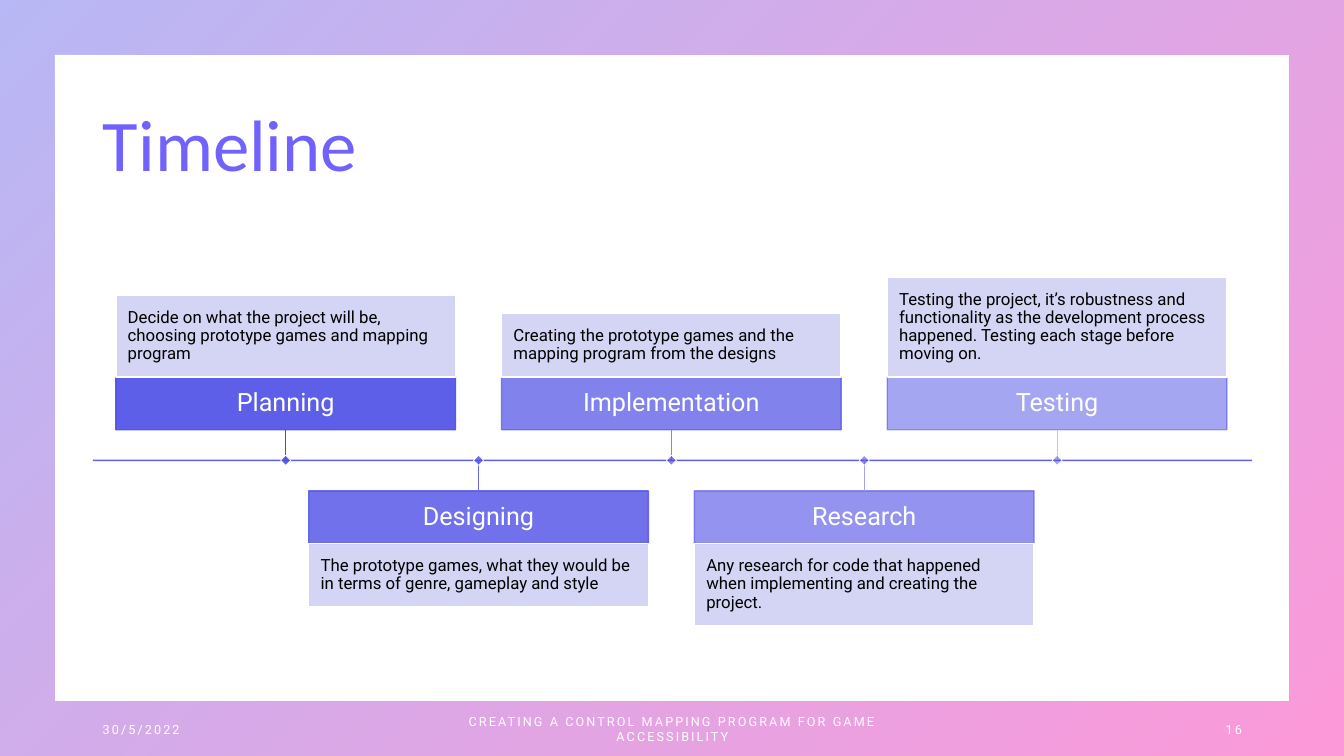
"""Build the project timeline page with five alternating phases."""
from dataclasses import dataclass

from lxml import etree
from pptx import Presentation
from pptx.dml.color import RGBColor
from pptx.enum import shapes, text
from pptx.oxml import ns
from pptx.util import Cm, Pt


@dataclass(frozen=True)
class Theme:
    """Colours, fonts and type sizes of the page."""
    indigo: str = "4D4EE6"
    pink: str = "F900A0"
    violet: str = "7162FE"
    lavender: str = "D0D0F5"
    white: str = "FFFFFF"
    black: str = "000000"
    heading_font: str = "Calibri"
    body_font: str = "Roboto"
    title_size: float = 52
    phase_size: float = 18
    detail_size: float = 12
    footer_size: float = 9


@dataclass(frozen=True)
class Phase:
    """One phase of the timeline."""
    name: str
    detail: str
    lines: int
    stem: str


THEME = Theme()
PHASES = [
    Phase("Planning", "Decide on what the project will be, choosing prototype "
          "games and mapping program", 3, "4A4BDC"),
    Phase("Designing", "The prototype games, what they would be in terms of "
          "genre, gameplay and style", 2, "6868E2"),
    Phase("Implementation", "Creating the prototype games and the mapping "
          "program from the designs", 2, "8686E7"),
    Phase("Research", "Any research for code that happened when implementing "
          "and creating the project.", 3, "A4A4ED"),
    Phase("Testing", "Testing the project, it’s robustness and functionality "
          "as the development process happened. Testing each stage before "
          "moving on.", 4, "C2C2F3"),
]
FOOTERS = [
    (2.34, 7.62, "30/5/2022", text.PP_ALIGN.LEFT),
    (11.23, 11.43, "CREATING A CONTROL MAPPING PROGRAM FOR GAME ACCESSIBILITY",
     text.PP_ALIGN.CENTER),
    (23.93, 7.62, "16", text.PP_ALIGN.RIGHT),
]
AXIS_LEFT, AXIS_RIGHT, AXIS_Y = 2.34, 31.55, 11.6
PHASE_LEFT, PHASE_STEP, PHASE_WIDTH = 2.92, 4.86, 8.56
HEADER_HEIGHT, STEM_LENGTH = 1.33, 0.77
DETAIL_PADDING, LINE_HEIGHT = 0.68, 0.46
MARKER = 0.18


def set_alpha(parent, percent):
    """Make the colours below an XML element partly transparent."""
    for color in parent.iter(ns.qn("a:srgbClr")):
        etree.SubElement(color, ns.qn("a:alpha"), val=str(percent * 1000))


def add_box(page, kind, left, top, width, height):
    """Add a preset shape without a shadow."""
    box = page.shapes.add_shape(kind, Cm(left), Cm(top), Cm(width), Cm(height))
    box.shadow.inherit = False
    return box


def paint(box, fill, fill_alpha, line, line_alpha, width):
    """Set the fill and outline of a box."""
    box.fill.solid()
    box.fill.fore_color.rgb = RGBColor.from_string(fill)
    box.line.color.rgb = RGBColor.from_string(line)
    box.line.width = Pt(width)
    properties = box.element.spPr
    set_alpha(properties.find(ns.qn("a:solidFill")), fill_alpha)
    set_alpha(properties.find(ns.qn("a:ln")), line_alpha)


def write(box, words, size, color, align, font=THEME.body_font, inset=None,
          spacing=0.9):
    """Write one formatted paragraph, centred vertically, and return its span."""
    frame = box.text_frame
    frame.word_wrap = True
    frame.auto_size = text.MSO_AUTO_SIZE.NONE
    frame.vertical_anchor = text.MSO_ANCHOR.MIDDLE
    if inset is not None:
        frame.margin_left = frame.margin_right = Cm(inset)
        frame.margin_top = frame.margin_bottom = Cm(inset)
    para = frame.paragraphs[0]
    para.alignment = align
    para.line_spacing = spacing
    span = para.add_run()
    span.text = words
    span.font.name = font
    span.font.size = Pt(size)
    span.font.color.rgb = RGBColor.from_string(color)
    return span


def add_line(page, start, end, color, width):
    """Add a straight line without a shadow."""
    line = page.shapes.add_connector(shapes.MSO_CONNECTOR.STRAIGHT,
                                     Cm(start[0]), Cm(start[1]),
                                     Cm(end[0]), Cm(end[1]))
    line.line.color.rgb = RGBColor.from_string(color)
    line.line.width = Pt(width)
    etree.SubElement(line.element.spPr, ns.qn("a:effectLst"))
    return line


def add_border(page, width, height):
    """Add the gradient frame around the page."""
    border = add_box(page, shapes.MSO_SHAPE.FRAME, 0, 0, width, height)
    border.adjustments[0] = 0.072
    border.fill.gradient()
    border.fill.gradient_angle = 315
    for stop, position, color in zip(border.fill.gradient_stops, (0, 1),
                                     (THEME.indigo, THEME.pink)):
        stop.position = position
        stop.color.rgb = RGBColor.from_string(color)
    set_alpha(border.element.spPr, 40)
    border.line.fill.background()


def add_title(page, words):
    """Place and fill the title placeholder."""
    title = page.shapes.title
    title.left, title.top = Cm(2.34), Cm(1.88)
    title.width, title.height = Cm(29.21), Cm(3.68)
    write(title, words, THEME.title_size, THEME.violet, text.PP_ALIGN.LEFT,
          THEME.heading_font)


def add_phase(page, index, phase):
    """Add the header, detail, stem and marker of a phase."""
    above = index % 2 == 0
    left = PHASE_LEFT + index * PHASE_STEP
    center = left + PHASE_WIDTH / 2
    alpha = 90 - 10 * index
    height = DETAIL_PADDING + LINE_HEIGHT * phase.lines
    if above:
        top = AXIS_Y - STEM_LENGTH - HEADER_HEIGHT
        detail_top, site = top - height, 2
    else:
        top = AXIS_Y + STEM_LENGTH
        detail_top, site = top + HEADER_HEIGHT, 0
    rectangle = shapes.MSO_SHAPE.RECTANGLE
    header = add_box(page, rectangle, left, top, PHASE_WIDTH, HEADER_HEIGHT)
    paint(header, THEME.indigo, alpha, THEME.indigo, alpha, 1)
    write(header, phase.name, THEME.phase_size, THEME.white,
          text.PP_ALIGN.CENTER, inset=0.25)
    detail = add_box(page, rectangle, left, detail_top, PHASE_WIDTH, height)
    paint(detail, THEME.lavender, 90, THEME.white, 100, 1)
    write(detail, phase.detail, THEME.detail_size, THEME.black,
          text.PP_ALIGN.LEFT, inset=0.3)
    stem = add_line(page, (center, top), (center, AXIS_Y), phase.stem, 0.5)
    stem.begin_connect(header, site)
    marker = add_box(page, rectangle, center - MARKER / 2,
                     AXIS_Y - MARKER / 2, MARKER, MARKER)
    marker.rotation = 45
    paint(marker, THEME.indigo, alpha, THEME.white, 100, 0.5)


def add_footer(page, left, width, words, align):
    """Add one letter-spaced footer text."""
    box = page.shapes.add_textbox(Cm(left), Cm(17.86), Cm(width), Cm(1.02))
    span = write(box, words, THEME.footer_size, THEME.white, align, spacing=1.0)
    span.font.element.set("spc", "150") if hasattr(span.font, "element") else \
        span._r.get_or_add_rPr().set("spc", "150")


def main():
    """Build and save the deck."""
    deck = Presentation()
    deck.slide_width, deck.slide_height = Cm(33.87), Cm(19.05)
    page = deck.slides.add_slide(deck.slide_layouts[5])
    add_border(page, 33.87, 19.05)
    add_title(page, "Timeline")
    axis = add_line(page, (AXIS_LEFT, AXIS_Y), (AXIS_RIGHT, AXIS_Y),
                    THEME.indigo, 1)
    set_alpha(axis.element.spPr, 90)
    for index, phase in enumerate(PHASES):
        add_phase(page, index, phase)
    for footer in FOOTERS:
        add_footer(page, *footer)
    deck.save("out.pptx")


if __name__ == "__main__":
    main()
